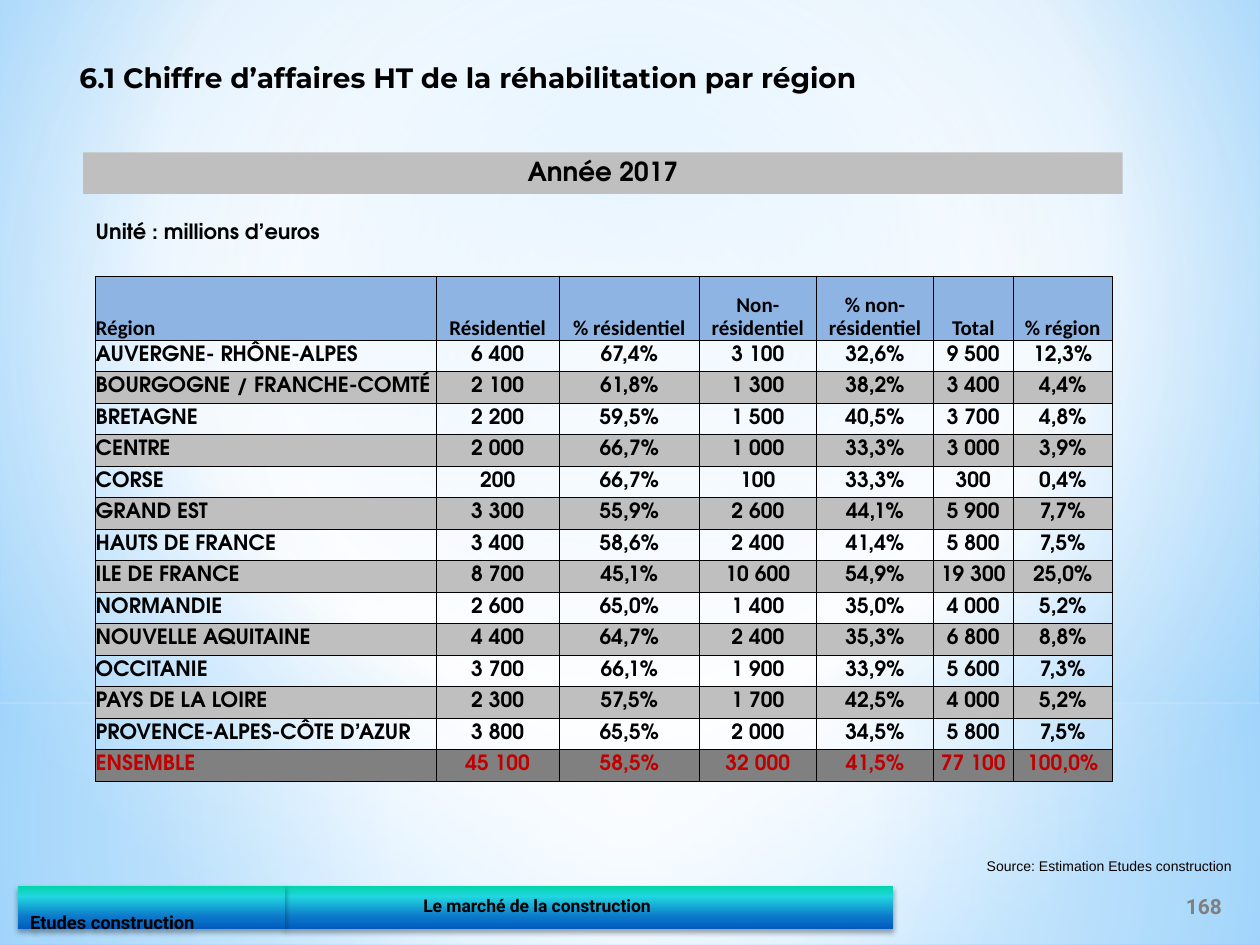
from dataclasses import dataclass

import lxml.etree
import pptx
import pptx.dml.color
import pptx.enum.shapes
import pptx.enum.text
import pptx.oxml.ns
import pptx.util

Inches = pptx.util.Inches
Align = pptx.enum.text.PP_ALIGN
Anchor = pptx.enum.text.MSO_ANCHOR

COLORS = {
    "black": "000000", "source": "080000", "red": "C00000",
    "header": "8DB4E2", "band": "BFBFBF", "total": "808080",
    "white": "FFFFFF", "pale": "B4DCFA", "sky": "9ED5FF", "blue": "5BB9FF",
    "green": "03D4A8", "cyan": "21D6E0", "ocean": "0D79CA", "navy": "005CBF",
}
DISPLAY_FONT = "TeX Gyre Adventor"
CENTER = (50, 50, 50, 50)


@dataclass(frozen=True)
class Box:
    left: float
    top: float
    width: float
    height: float

    def lengths(self) -> tuple:
        return tuple(Inches(v) for v in (self.left, self.top, self.width, self.height))


@dataclass(frozen=True)
class Stop:
    position: int
    color: str
    opacity: int = 100


@dataclass(frozen=True)
class Bar:
    box: Box
    text: str
    size: float
    anchor: Anchor
    insets: tuple


@dataclass(frozen=True)
class Region:
    name: str
    residential: int
    other: int

    @property
    def total(self) -> int:
        return self.residential + self.other


HALOS = [
    (Box(0, 5.58, 10, 1.92), [Stop(0, "white", 91), Stop(37, "white", 76), Stop(100, "pale", 79)]),
    (Box(0, 0, 10, 5.58), [Stop(0, "white", 89), Stop(48, "white", 62), Stop(100, "pale", 79)]),
]
BAR_STOPS = [Stop(0, "green"), Stop(25, "cyan"), Stop(72, "ocean"), Stop(100, "navy")]
BARS = [
    Bar(Box(2.26, 7.03, 4.83, 0.34), "Le marché de la construction", 10,
        Anchor.MIDDLE, (1.1, 0.05, 0.1, 0.05)),
    Bar(Box(0.14, 7.03, 2.12, 0.34), "Etudes construction", 10.5,
        Anchor.TOP, (0.1, 0.22, 0.1, 0)),
]
HEADERS = ["Région", "Résidentiel", "% résidentiel", "Non-résidentiel",
           "% non- résidentiel", "Total", "% région"]
COLUMN_WIDTHS = [2.7, 0.98, 1.11, 0.93, 0.93, 0.63, 0.79]
HEADER_HEIGHT, ROW_HEIGHT = 0.51, 0.25
REGIONS = [
    Region("AUVERGNE- RHÔNE-ALPES", 6400, 3100),
    Region("BOURGOGNE / FRANCHE-COMTÉ", 2100, 1300),
    Region("BRETAGNE", 2200, 1500),
    Region("CENTRE", 2000, 1000),
    Region("CORSE", 200, 100),
    Region("GRAND EST", 3300, 2600),
    Region("HAUTS DE FRANCE", 3400, 2400),
    Region("ILE DE FRANCE", 8700, 10600),
    Region("NORMANDIE", 2600, 1400),
    Region("NOUVELLE AQUITAINE", 4400, 2400),
    Region("OCCITANIE", 3700, 1900),
    Region("PAYS DE LA LOIRE", 2300, 1700),
    Region("PROVENCE-ALPES-CÔTE D’AZUR", 3800, 2000),
]


def rgb(name: str) -> pptx.dml.color.RGBColor:
    return pptx.dml.color.RGBColor.from_string(COLORS[name])


def add_element(parent, tag: str, **attributes):
    element = lxml.etree.SubElement(parent, pptx.oxml.ns.qn(tag))
    for key, value in attributes.items():
        element.set(key, str(value))
    return element


def add_color(parent, name: str, opacity: int = 100) -> None:
    color = add_element(parent, "a:srgbClr", val=COLORS[name])
    if opacity < 100:
        add_element(color, "a:alpha", val=opacity * 1000)


def set_gradient(owner, stops: list, focus: tuple = None) -> None:
    owner.fill.solid()
    root = owner.element if hasattr(owner, "element") else owner.fill
    replace_fill(root, stops, focus)


def replace_fill(root, stops: list, focus: tuple = None) -> None:
    solid = root.find(".//" + pptx.oxml.ns.qn("a:solidFill"))
    parent = solid.getparent()
    gradient = add_element(parent, "a:gradFill", rotWithShape=1)
    parent.replace(solid, gradient)
    stop_list = add_element(gradient, "a:gsLst")
    for stop in stops:
        add_color(add_element(stop_list, "a:gs", pos=stop.position * 1000), stop.color, stop.opacity)
    if focus:
        shade = add_element(gradient, "a:path", path="circle")
        edges = {side: edge * 1000 for side, edge in zip("ltrb", focus)}
        add_element(shade, "a:fillToRect", **edges)
    else:
        add_element(gradient, "a:lin", ang=90 * 60000, scaled=0)


def write_text(frame, text: str, *, size: float, font: str, color: str = "black",
               bold: bool = True, align: Align = Align.LEFT, spacing: float = 0.9,
               anchor: Anchor = Anchor.TOP, wrap: bool = True,
               insets: tuple = (0.1, 0.05, 0.1, 0.05)) -> None:
    frame.auto_size = pptx.enum.text.MSO_AUTO_SIZE.NONE
    frame.word_wrap = wrap
    frame.vertical_anchor = anchor
    frame.margin_left, frame.margin_top, frame.margin_right, frame.margin_bottom = map(Inches, insets)
    write_paragraph(frame, text, size, font, color, bold, align, spacing)


def write_paragraph(frame, text: str, size: float, font: str, color: str,
                    bold: bool, align: Align, spacing: float) -> None:
    paragraph = frame.paragraphs[0]
    paragraph.alignment = align
    paragraph.line_spacing = spacing
    run = paragraph.add_run()
    run.text = text
    run.font.size = pptx.util.Pt(size)
    run.font.name = font
    run.font.bold = bold
    run.font.color.rgb = rgb(color)


def add_block(slide, kind, box: Box):
    shape = slide.shapes.add_shape(kind, *box.lengths())
    shape.shadow.inherit = False
    shape.fill.solid()
    shape.line.fill.background()
    return shape


def add_label(slide, box: Box, text: str, **text_format) -> None:
    write_text(slide.shapes.add_textbox(*box.lengths()).text_frame, text, **text_format)


def add_bar(slide, bar: Bar) -> None:
    shape = add_block(slide, pptx.enum.shapes.MSO_SHAPE.FRAME, bar.box)
    shape.adjustments[0] = 0.5
    replace_fill(shape.element, BAR_STOPS)
    effects = shape.element.find(".//" + pptx.oxml.ns.qn("a:effectLst"))
    shadow = add_element(effects, "a:outerShdw", blurRad=pptx.util.Pt(3.1),
                         dist=pptx.util.Pt(1.8), dir=90 * 60000, rotWithShape=0)
    add_color(shadow, "black", 35)
    write_text(shape.text_frame, bar.text, size=bar.size, font="Roboto",
               anchor=bar.anchor, insets=bar.insets)


def region_texts(region: Region, grand_total: int) -> list:
    def number(value: int) -> str:
        return f"{value:,}".replace(",", " ")

    def percent(part: int, whole: int) -> str:
        return f"{100 * part / whole:.1f}%".replace(".", ",")

    return [region.name,
            number(region.residential), percent(region.residential, region.total),
            number(region.other), percent(region.other, region.total),
            number(region.total), percent(region.total, grand_total)]


def format_cell(cell, text: str, fill: str, font: str, color: str,
                align: Align, anchor: Anchor) -> None:
    properties = cell._tc.get_or_add_tcPr()
    for side in ("L", "R", "T", "B"):
        border = add_element(properties, f"a:ln{side}", w=pptx.util.Pt(0.5))
        add_color(add_element(border, "a:solidFill"), "black")
    if fill:
        cell.fill.solid()
        cell.fill.fore_color.rgb = rgb(fill)
    else:
        cell.fill.background()
    cell.margin_left = cell.margin_top = cell.margin_right = cell.margin_bottom = 0
    cell.vertical_anchor = anchor
    write_paragraph(cell.text_frame, text, 12, font, color, True, align, 0.9)


def add_region_table(slide) -> None:
    overall = Region("ENSEMBLE", sum(r.residential for r in REGIONS), sum(r.other for r in REGIONS))
    rows = [HEADERS] + [region_texts(r, overall.total) for r in REGIONS + [overall]]
    last = len(rows) - 1
    box = Box(0.76, 2.19, sum(COLUMN_WIDTHS), HEADER_HEIGHT + last * ROW_HEIGHT)
    table = slide.shapes.add_table(len(rows), len(HEADERS), *box.lengths()).table
    table.first_row = table.horz_banding = False
    for column, width in zip(table.columns, COLUMN_WIDTHS):
        column.width = Inches(width)
    for i, texts in enumerate(rows):
        table.rows[i].height = Inches(ROW_HEIGHT if i else HEADER_HEIGHT)
        fill = {0: "header", last: "total"}.get(i, None if i % 2 else "band")
        for j, text in enumerate(texts):
            format_cell(table.cell(i, j), text, fill,
                        font=DISPLAY_FONT if i else "Calibri",
                        color="red" if i == last else "black",
                        align=Align.CENTER if j else Align.LEFT,
                        anchor=Anchor.MIDDLE if i else Anchor.BOTTOM)


def main() -> None:
    presentation = pptx.Presentation()
    presentation.slide_width, presentation.slide_height = Inches(10), Inches(7.5)
    slide = presentation.slides.add_slide(presentation.slide_layouts[5])
    slide.background.fill.solid()
    slide.background.fill.fore_color.rgb = rgb("white")
    replace_fill(slide.element, [Stop(0, "sky"), Stop(60, "white"), Stop(100, "blue")], (20, 10, 20, 60))

    rectangle = pptx.enum.shapes.MSO_SHAPE.RECTANGLE
    for box, stops in HALOS:
        replace_fill(add_block(slide, rectangle, box).element, stops, CENTER)
    for bar in BARS:
        add_bar(slide, bar)
    add_label(slide, Box(9.26, 6.99, 0.59, 0.4), "168", size=12, font="Roboto", color="total",
              align=Align.CENTER, anchor=Anchor.MIDDLE, spacing=1.0)

    year = add_block(slide, rectangle, Box(0.66, 1.21, 8.25, 0.33))
    year.fill.fore_color.rgb = rgb("band")
    write_text(year.text_frame, "Année 2017", size=15, font=DISPLAY_FONT, align=Align.CENTER)
    add_label(slide, Box(0.66, 1.71, 2.28, 0.28), "Unité : millions d’euros", size=12, font=DISPLAY_FONT)
    add_label(slide, Box(7.66, 6.72, 2.21, 0.31), "Source: Estimation Etudes construction",
              size=8, font="Arial", color="source", bold=False, align=Align.RIGHT, spacing=1.0,
              anchor=Anchor.MIDDLE, wrap=False, insets=(0.09, 0.04, 0.09, 0.04))

    title = slide.shapes.title
    title.left, title.top, title.width, title.height = Box(0.53, 0.43, 9.33, 0.44).lengths()
    write_text(title.text_frame, "6.1 Chiffre d’affaires HT de la réhabilitation par région",
               size=16, font="Montserrat", spacing=1.0)
    title.element.getparent().append(title.element)
    add_region_table(slide)
    presentation.save("out.pptx")


if __name__ == "__main__":
    main()
